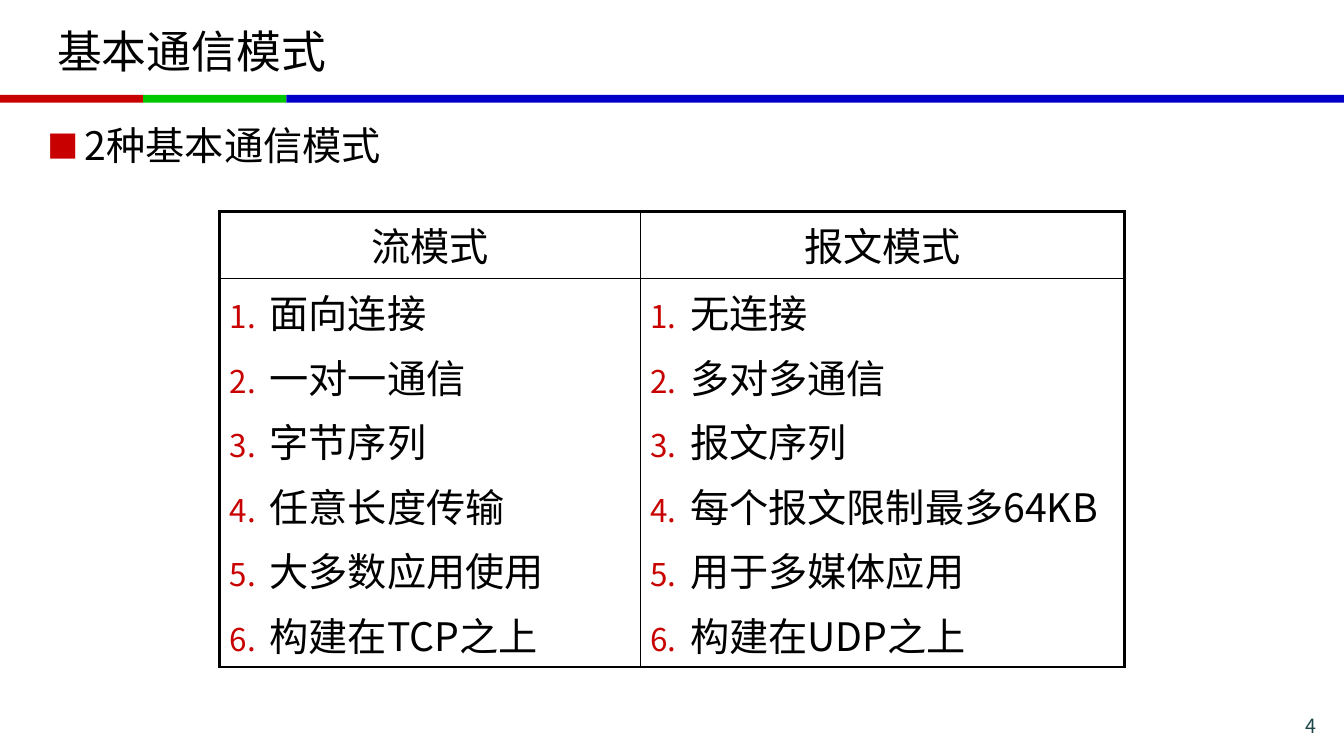
import pptx
import pptx.chart.data
import pptx.dml.color
import pptx.enum.shapes
import pptx.enum.text
import pptx.oxml
import pptx.oxml.ns
import pptx.util
from lxml import etree

Cm = pptx.util.Cm
Pt = pptx.util.Pt
ALIGN = pptx.enum.text.PP_ALIGN
ANCHOR = pptx.enum.text.MSO_ANCHOR

TITLE = "基本通信模式"
LEAD = "2种基本通信模式"
PAGE = "4"
MODES = {
    "流模式": ["面向连接", "一对一通信", "字节序列", "任意长度传输",
            "大多数应用使用", "构建在TCP之上"],
    "报文模式": ["无连接", "多对多通信", "报文序列", "每个报文限制最多64KB",
             "用于多媒体应用", "构建在UDP之上"],
}

FONT = "Noto Sans CJK SC"
COLORS = {"text": "000000", "red": "C80000", "green": "00C800",
          "blue": "0000C8", "page": "1E4649"}
BODY_SIZE = 28
OUTER, INNER = 2.25, 1

# Lengths in cm
SLIDE_W, SLIDE_H = 33.87, 19.05
BAR_TOP, BAR_H, BAR_STEP = 2.39, 0.2, 3.61
TABLE_LEFT, TABLE_TOP = 5.54, 5.33
COL_WIDTHS = [10.6, 12.2]
ROW_HEIGHTS = [1.68, 9.8]


def rgb(name):
    return pptx.dml.color.RGBColor.from_string(COLORS[name])


def add_xml(parent, tag, **attrs):
    return etree.SubElement(parent, pptx.oxml.ns.qn(tag), attrs)


def add_bullet(p, indent, tag, **attrs):
    """Give the paragraph a red hanging bullet; call before setting its font."""
    pPr = p._p.get_or_add_pPr()
    pPr.set("marL", str(Cm(indent)))
    pPr.set("indent", str(-Cm(indent)))
    add_xml(add_xml(pPr, "a:buClr"), "a:srgbClr", val=COLORS["red"])
    add_xml(pPr, "a:buSzPct", val="80000")
    add_xml(pPr, "a:buFont", typeface=FONT)
    add_xml(pPr, tag, **attrs)


def set_font(p, size, color="text"):
    p.font.size = Pt(size)
    p.font.name = FONT
    p.font.color.rgb = rgb(color)
    add_xml(p.font._element, "a:ea", typeface=FONT)


def add_text(slide, text, left, top, width, height, anchor=ANCHOR.TOP):
    sp = slide.shapes.add_textbox(Cm(left), Cm(top), Cm(width), Cm(height))
    tf = sp.text_frame
    tf.word_wrap = True
    tf.vertical_anchor = anchor
    p = tf.paragraphs[0]
    p.text = text
    return p


def add_bars(slide):
    edges = [0, BAR_STEP, 2 * BAR_STEP, SLIDE_W]
    for name, left, right in zip(("red", "green", "blue"), edges, edges[1:]):
        sp = slide.shapes.add_shape(
            pptx.enum.shapes.MSO_SHAPE.RECTANGLE,
            Cm(left), Cm(BAR_TOP), Cm(right - left), Cm(BAR_H))
        sp.shadow.inherit = False
        sp.fill.solid()
        sp.fill.fore_color.rgb = rgb(name)
        sp.line.fill.background()


def set_borders(cell, widths):
    """Draw the borders; widths are points for left, right, top, bottom."""
    cell.fill.background()
    tcPr = cell._tc.get_or_add_tcPr()
    for i, (side, width) in enumerate(zip("LRTB", widths)):
        ln = add_xml(tcPr, "a:ln" + side, w=str(Pt(width)))
        add_xml(add_xml(ln, "a:solidFill"), "a:srgbClr", val=COLORS["text"])
        tcPr.insert(i, ln)


def add_modes_table(slide):
    table = slide.shapes.add_table(
        len(ROW_HEIGHTS), len(COL_WIDTHS), Cm(TABLE_LEFT), Cm(TABLE_TOP),
        Cm(sum(COL_WIDTHS)), Cm(sum(ROW_HEIGHTS))).table
    table.first_row = table.horz_banding = False
    for row, height in zip(table.rows, ROW_HEIGHTS):
        row.height = Cm(height)
    for c, (mode, traits) in enumerate(MODES.items()):
        table.columns[c].width = Cm(COL_WIDTHS[c])
        sides = (INNER, OUTER) if c else (OUTER, INNER)

        head = table.cell(0, c)
        set_borders(head, sides + (OUTER, INNER))
        p = head.text_frame.paragraphs[0]
        p.text = mode
        p.alignment = ALIGN.CENTER
        set_font(p, BODY_SIZE)

        body = table.cell(1, c)
        set_borders(body, sides + (INNER, OUTER))
        tf = body.text_frame
        for i, trait in enumerate(traits):
            p = tf.add_paragraph() if i else tf.paragraphs[0]
            p.text = trait
            add_bullet(p, 1, "a:buAutoNum", type="arabicPeriod")
            if i:
                p.space_before = Pt(0.2 * BODY_SIZE)
            set_font(p, BODY_SIZE)


def main():
    prs = pptx.Presentation()
    prs.slide_width, prs.slide_height = Cm(SLIDE_W), Cm(SLIDE_H)
    slide = prs.slides.add_slide(prs.slide_layouts[6])

    add_bars(slide)

    page = add_text(slide, PAGE, 30.12, 17.93, 3.3, 0.71, ANCHOR.MIDDLE)
    page.alignment = ALIGN.RIGHT
    set_font(page, 14, "page")

    set_font(add_text(slide, TITLE, 1.19, 0.2, 31.47, 2.13, ANCHOR.MIDDLE), 32)

    add_modes_table(slide)

    lead = add_text(slide, LEAD, 0.94, 2.92, 32, 4.6)
    add_bullet(lead, 0.95, "a:buChar", char="■")
    set_font(lead, BODY_SIZE)

    prs.save("out.pptx")


if __name__ == "__main__":
    main()
